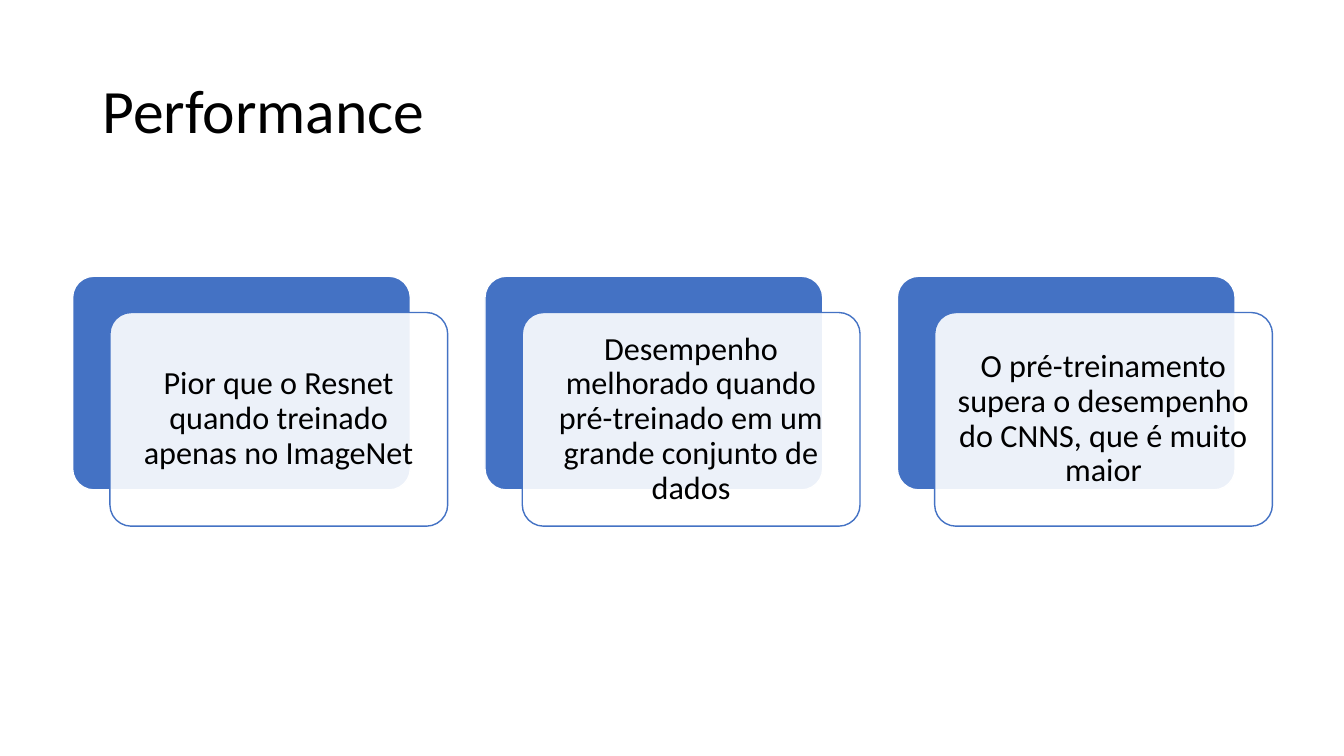
import pptx
import pptx.util
import pptx.dml.color
import pptx.enum.shapes
import pptx.enum.text
import pptx.oxml
import pptx.oxml.ns
from pptx.util import Inches

TITLE = "Performance"
FINDINGS = [
    "Pior que o Resnet quando treinado apenas no ImageNet",
    "Desempenho melhorado quando pré-treinado em um grande conjunto de dados",
    "O pré-treinamento supera o desempenho do CNNS, que é muito maior",
]

BLUE = pptx.dml.color.RGBColor(0x44, 0x72, 0xC4)
WHITE = pptx.dml.color.RGBColor(0xFF, 0xFF, 0xFF)
BLACK = pptx.dml.color.RGBColor(0x00, 0x00, 0x00)
FONT = "Calibri"

CARD_LEFT, CARD_TOP = 0.72, 2.74
CARD_WIDTH, CARD_HEIGHT = 3.35, 2.12
CARD_PITCH = 4.09
FRONT_SHIFT_X, FRONT_SHIFT_Y = 0.37, 0.36
TEXT_MARGIN = 0.06


def add_card(slide, left, top, fill_color, line_color):
    shape = slide.shapes.add_shape(
        pptx.enum.shapes.MSO_SHAPE.ROUNDED_RECTANGLE,
        Inches(left), Inches(top), Inches(CARD_WIDTH), Inches(CARD_HEIGHT))
    shape.adjustments[0] = 0.1
    shape.shadow.inherit = False
    shape.fill.solid()
    shape.fill.fore_color.rgb = fill_color
    shape.line.color.rgb = line_color
    shape.line.width = pptx.util.Pt(1)
    return shape


def set_opacity(shape, percent):
    color = shape.fill._xPr.find(".//" + pptx.oxml.ns.qn("a:srgbClr"))
    alpha = pptx.oxml.parse_xml(
        f'<a:alpha {pptx.oxml.ns.nsdecls("a")} val="{percent * 1000}"/>')
    color.append(alpha)


def add_text(slide, text, left, top, width, height, size, alignment, inset=(0.1, 0.05)):
    box = slide.shapes.add_textbox(
        Inches(left), Inches(top), Inches(width), Inches(height))
    frame = box.text_frame
    frame.word_wrap = True
    frame.vertical_anchor = pptx.enum.text.MSO_ANCHOR.MIDDLE
    frame.margin_left = frame.margin_right = Inches(inset[0])
    frame.margin_top = frame.margin_bottom = Inches(inset[1])
    paragraph = frame.paragraphs[0]
    paragraph.text = text
    paragraph.alignment = alignment
    paragraph.line_spacing = 0.9
    paragraph.font.name = FONT
    paragraph.font.size = pptx.util.Pt(size)
    paragraph.font.color.rgb = BLACK


def main():
    presentation = pptx.Presentation()
    presentation.slide_width = Inches(13.33)
    presentation.slide_height = Inches(7.5)
    slide = presentation.slides.add_slide(presentation.slide_layouts[6])

    add_text(slide, TITLE, 0.92, 0.4, 11.5, 1.45, 44, pptx.enum.text.PP_ALIGN.LEFT)

    for index, finding in enumerate(FINDINGS):
        left = CARD_LEFT + index * CARD_PITCH
        front_left = left + FRONT_SHIFT_X
        front_top = CARD_TOP + FRONT_SHIFT_Y
        add_card(slide, left, CARD_TOP, BLUE, WHITE)
        front = add_card(slide, front_left, front_top, WHITE, BLUE)
        set_opacity(front, 90)
        add_text(slide, finding, front_left + TEXT_MARGIN, front_top + TEXT_MARGIN,
                 CARD_WIDTH - 2 * TEXT_MARGIN, CARD_HEIGHT - 2 * TEXT_MARGIN,
                 23, pptx.enum.text.PP_ALIGN.CENTER, (0.1, 0.1))

    presentation.save("out.pptx")


if __name__ == "__main__":
    main()
